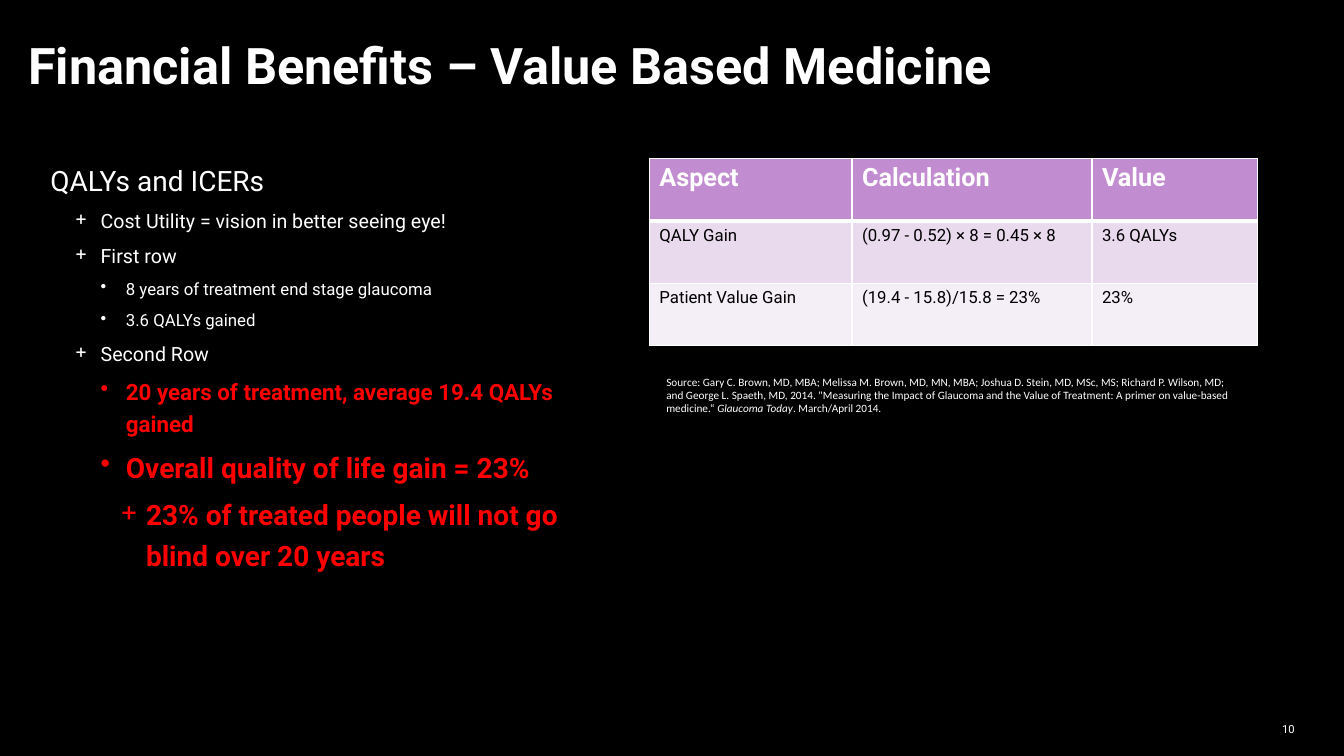
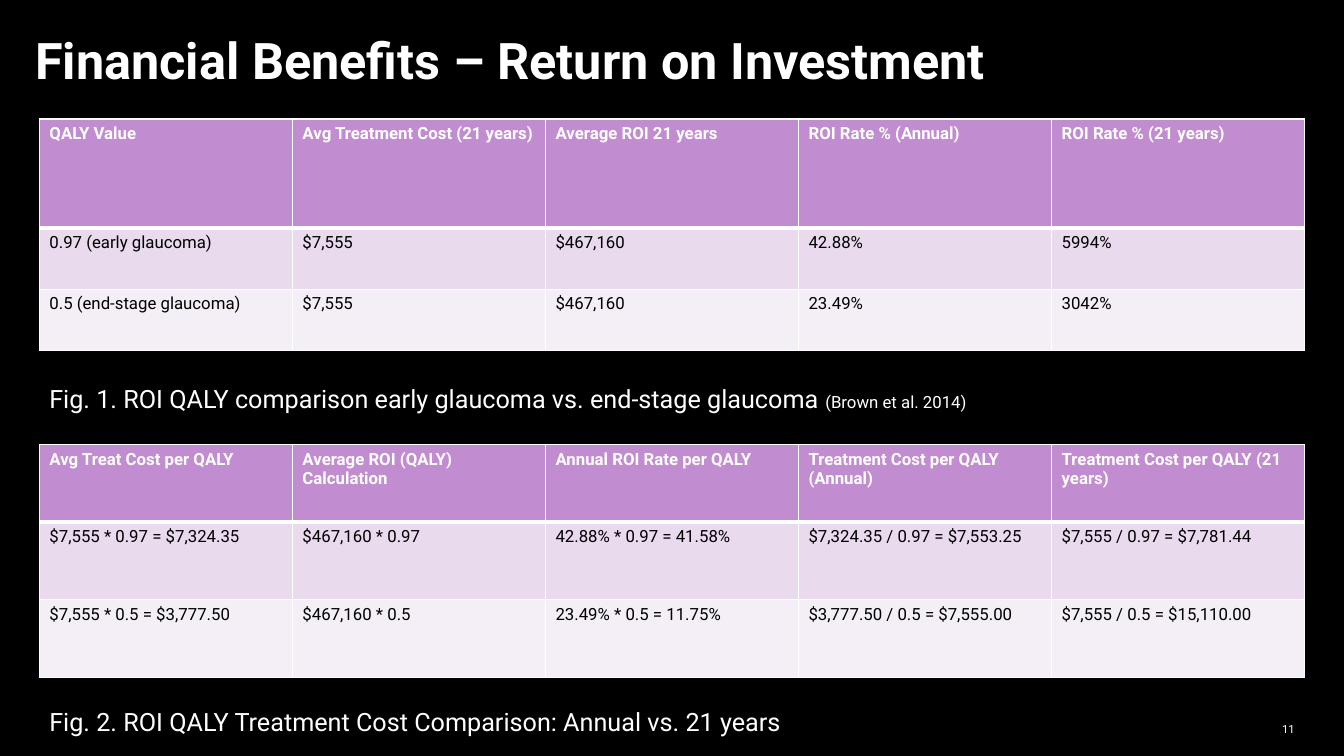
from dataclasses import dataclass

from lxml import etree
from pptx import Presentation
from pptx.dml.color import RGBColor
from pptx.enum.text import MSO_ANCHOR, PP_ALIGN
from pptx.oxml.ns import qn
from pptx.util import Inches, Pt

RIGHT = PP_ALIGN.RIGHT
TOP, MIDDLE = MSO_ANCHOR.TOP, MSO_ANCHOR.MIDDLE


@dataclass(frozen=True)
class Theme:
    back: str = "000000"
    light: str = "FFFFFF"
    dark: str = "000000"
    alert: str = "FF0000"
    head: str = "C28CD0"
    bands: tuple = ("E9DAEE", "F4EEF7")
    font: str = "Roboto"
    cite: str = "Calibri"
    title: int = 36
    lead: int = 20
    large: int = 18
    strong: int = 16
    point: int = 14
    small: int = 12
    tiny: int = 8


T = Theme()

# Outline rows: level, size, red and bold, text
POINTS = [
    (0, T.lead, False, "QALYs and ICERs"),
    (1, T.point, False, "Cost Utility = vision in better seeing eye!"),
    (1, T.point, False, "First row"),
    (2, T.small, False, "8 years of treatment end stage glaucoma"),
    (2, T.small, False, "3.6 QALYs gained"),
    (1, T.point, False, "Second Row"),
    (2, T.strong, True, "20 years of treatment, average 19.4 QALYs gained"),
    (2, T.lead, True, "Overall quality of life gain = 23%"),
    (3, T.lead, True, "23% of treated people will not go blind over 20 years"),
]
# Indent and bullet sign for each level
LEVELS = {1: (0.5, "+"), 2: (0.75, "•"), 3: (0.95, "+")}

GAINS = [
    ["Aspect", "Calculation", "Value"],
    ["QALY Gain", "(0.97 - 0.52) × 8 = 0.45 × 8", "3.6 QALYs"],
    ["Patient Value Gain", "(19.4 - 15.8)/15.8 = 23%", "23%"],
]
RATES = [
    ["QALY Value", "Avg Treatment Cost (21 years)", "Average ROI 21 years",
     "ROI Rate % (Annual)", "ROI Rate % (21 years)"],
    ["0.97 (early glaucoma)", "$7,555", "$467,160", "42.88%", "5994%"],
    ["0.5 (end-stage glaucoma)", "$7,555", "$467,160", "23.49%", "3042%"],
]
COSTS = [
    ["Avg Treat Cost per QALY", "Average ROI (QALY) Calculation",
     "Annual ROI Rate per QALY", "Treatment Cost per QALY (Annual)",
     "Treatment Cost per QALY (21 years)"],
    ["$7,555 * 0.97 = $7,324.35", "$467,160 * 0.97", "42.88% * 0.97 = 41.58%",
     "$7,324.35 / 0.97 = $7,553.25", "$7,555 / 0.97 = $7,781.44"],
    ["$7,555 * 0.5 = $3,777.50", "$467,160 * 0.5", "23.49% * 0.5 = 11.75%",
     "$3,777.50 / 0.5 = $7,555.00", "$7,555 / 0.5 = $15,110.00"],
]
SOURCE = (
    "Source: Gary C. Brown, MD, MBA; Melissa M. Brown, MD, MN, MBA; "
    "Joshua D. Stein, MD, MSc, MS; Richard P. Wilson, MD; and George L. "
    "Spaeth, MD, 2014. \"Measuring the Impact of Glaucoma and the Value of "
    "Treatment: A primer on value-based medicine.“ "
)


# Text helpers
def style(run, size, color=T.light, bold=False, italic=False, font=T.font):
    face = run.font
    face.name, face.size = font, Pt(size)
    face.bold, face.italic = bold, italic
    face.color.rgb = RGBColor.from_string(color)


def add_run(para, text, size, **look):
    run = para.add_run()
    run.text = text
    style(run, size, **look)


def add_box(slide, left, top, width, height, anchor=TOP):
    box = slide.shapes.add_textbox(
        Inches(left), Inches(top), Inches(width), Inches(height))
    frame = box.text_frame
    frame.word_wrap = True
    frame.vertical_anchor = anchor
    return frame


def add_label(slide, area, *parts):
    para = add_box(slide, *area).paragraphs[0]
    for text, size, look in parts:
        add_run(para, text, size, **look)
    return para


def add_bullet(para, level):
    indent, sign = LEVELS[level]
    para.level = level
    props = para._p.get_or_add_pPr()
    props.set("marL", str(Inches(indent)))
    props.set("indent", str(Inches(-0.25)))
    etree.SubElement(props, qn("a:buChar")).set("char", sign)


def add_points(slide, area, points):
    frame = add_box(slide, *area)
    for i, (level, size, alert, text) in enumerate(points):
        para = frame.add_paragraph() if i else frame.paragraphs[0]
        if level:
            add_bullet(para, level)
        para.line_spacing = 1.2
        para.space_before = Pt(5 if i else 0)
        color = T.alert if alert else T.light
        add_run(para, text, size, color=color, bold=alert)


# Table helpers
def add_edge(cell, side, width):
    line = etree.SubElement(cell._tc.get_or_add_tcPr(), qn("a:ln" + side))
    line.set("w", str(Pt(width)))
    fill = etree.SubElement(line, qn("a:solidFill"))
    etree.SubElement(fill, qn("a:srgbClr")).set("val", T.light)


def fill_cell(cell, text, row, size):
    head = row == 0
    widths = {"L": 1, "R": 1, "T": 3 if row == 1 else 1, "B": 3 if head else 1}
    for side, width in widths.items():
        add_edge(cell, side, width)
    cell.fill.solid()
    shade = T.head if head else T.bands[(row - 1) % 2]
    cell.fill.fore_color.rgb = RGBColor.from_string(shade)
    cell.text_frame.text = text
    run = cell.text_frame.paragraphs[0].runs[0]
    style(run, size, T.light if head else T.dark, bold=head)


def add_grid(slide, left, top, cols, rows, data, size=T.small):
    table = slide.shapes.add_table(
        len(rows), len(cols), Inches(left), Inches(top),
        Inches(sum(cols)), Inches(sum(rows))).table
    for col, width in zip(table.columns, cols):
        col.width = Inches(width)
    for i, height in enumerate(rows):
        table.rows[i].height = Inches(height)
        for j, text in enumerate(data[i]):
            fill_cell(table.cell(i, j), text, i, T.small if i else size)


# Shared slide parts
def add_slide(deck, title, area, number):
    slide = deck.slides.add_slide(deck.slide_layouts[6])
    back = slide.background.fill
    back.solid()
    back.fore_color.rgb = RGBColor.from_string(T.back)
    para = add_label(slide, area, (title, T.title, {"bold": True}))
    para.line_spacing = 0.9
    page = add_label(slide, (12.47, 7.03, 0.47, 0.4, MIDDLE),
                     (str(number), T.tiny, {}))
    page.alignment = RIGHT
    return slide


def add_value(deck):
    slide = add_slide(deck, "Financial Benefits – Value Based Medicine",
                      (0.18, 0.36, 11.71, 0.77), 10)
    add_points(slide, (0.4, 1.51, 5.78, 5.06), POINTS)
    add_grid(slide, 6.44, 1.57, [2.01, 2.38, 1.64], [0.62] * 3, GAINS, T.large)
    cite = {"font": T.cite}
    add_label(slide, (6.51, 3.67, 5.89, 0.81),
              (SOURCE, T.tiny, cite),
              ("Glaucoma Today", T.tiny, {"italic": True, **cite}),
              (". March/April 2014.", T.tiny, cite))


def add_return(deck):
    slide = add_slide(deck, "Financial Benefits – Return on Investment",
                      (0.25, 0.31, 11.81, 0.87), 11)
    left, cols = 0.39, [2.51] * 5
    add_grid(slide, left, 1.18, cols, [1.08, 0.61, 0.61], RATES)
    add_label(slide, (left, 3.75, 10.92, 0.4),
              ("Fig. 1. ROI QALY comparison early glaucoma vs. "
               "end-stage glaucoma ", T.large, {}),
              ("(Brown et al. 2014)", T.small, {}))
    add_grid(slide, left, 4.41, cols, [0.77] * 3, COSTS)
    add_label(slide, (left, 6.96, 10.92, 0.4),
              ("Fig. 2. ROI QALY Treatment Cost Comparison: "
               "Annual vs. 21 years", T.large, {}))


def main():
    deck = Presentation()
    deck.slide_width, deck.slide_height = Inches(13.33), Inches(7.5)
    add_value(deck)
    add_return(deck)
    deck.save("out.pptx")


if __name__ == "__main__":
    main()
